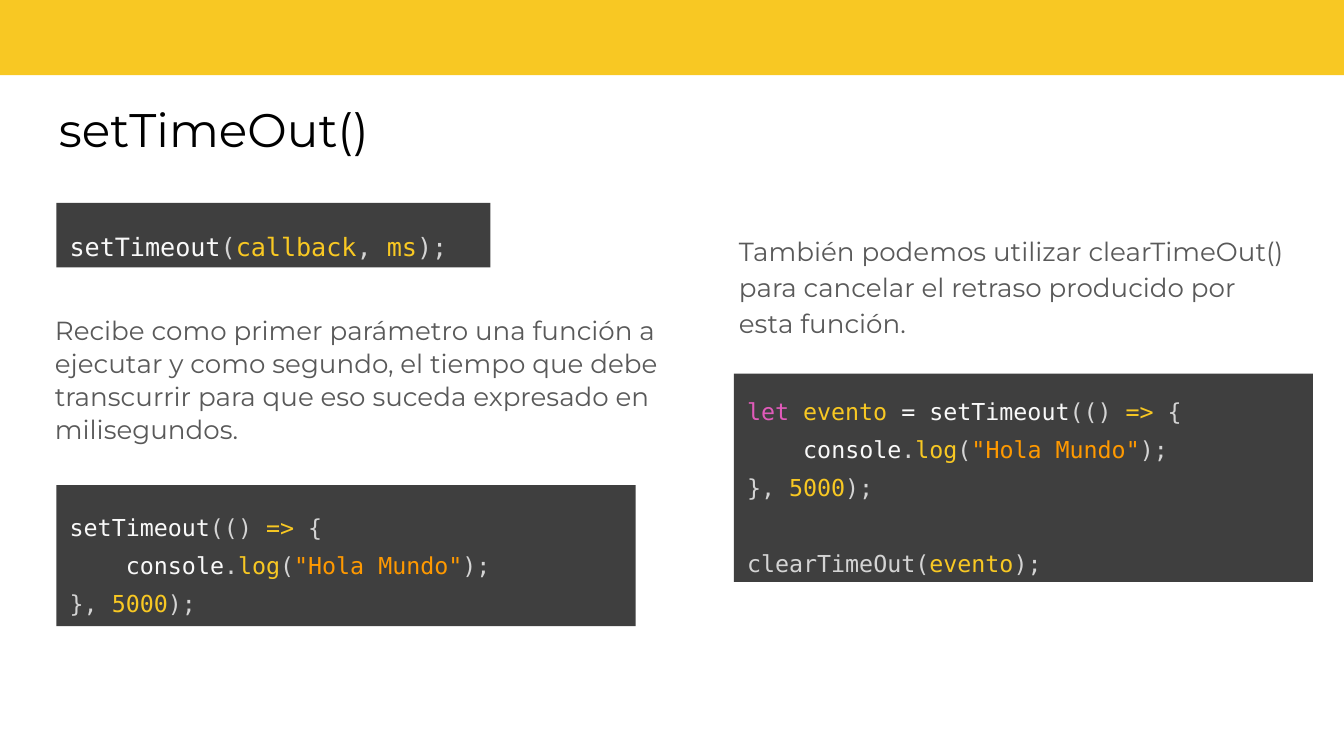
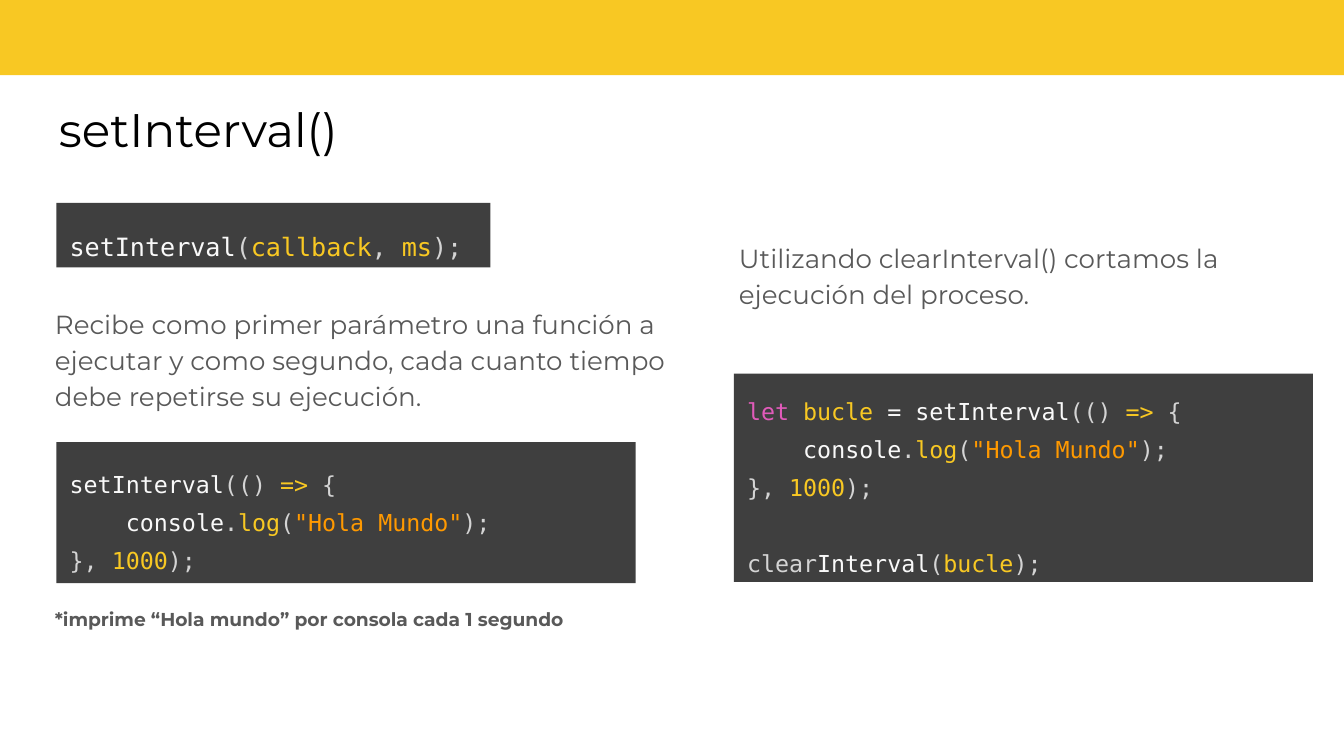
from collections import namedtuple

from lxml import etree
from pptx import Presentation
from pptx import util as u
from pptx.dml.color import RGBColor
from pptx.enum import shapes, text

COLORS = {
    "band": "F8C823",
    "panel": "3F3F3F",
    "title": "000000",
    "body": "595959",
    "name": "F9F9F9",
    "plain": "D4D4D4",
    "accent": "F8C823",
    "string": "FF9900",
    "keyword": "E15BBA",
}
SANS, MONO = "Montserrat", "DejaVu Sans Mono"
SLIDE_WIDTH, SLIDE_HEIGHT = u.Inches(10), u.Inches(5.625)
COLUMNS, ROWS = 100, 56.25
CODE_SIZE, CODE_SPACING = 12.5, 1.36
CODE_INDENT, CODE_GAP = u.Pt(30.1), u.Pt(20.2)

Box = namedtuple("Box", "left top width height")


def place(box):
    """Turn a box in grid columns and rows into slide lengths."""
    column, row = SLIDE_WIDTH / COLUMNS, SLIDE_HEIGHT / ROWS
    return (round(box.left * column), round(box.top * row),
            round(box.width * column), round(box.height * row))


def color(name):
    """Look up a palette colour."""
    return RGBColor.from_string(COLORS[name])


def add_rectangle(slide, box, fill):
    """Draw a flat rectangle without outline."""
    shape = slide.shapes.add_shape(shapes.MSO_SHAPE.RECTANGLE, *place(box))
    shape.shadow.inherit = False
    shape.fill.solid()
    shape.fill.fore_color.rgb = color(fill)
    shape.line.fill.background()


def add_frame(slide, box):
    """Add a wrapping text box with even margins and return its frame."""
    frame = slide.shapes.add_textbox(*place(box)).text_frame
    frame.word_wrap = True
    frame.margin_left = frame.margin_right = u.Inches(0.1)
    frame.margin_top = frame.margin_bottom = u.Inches(0.1)
    return frame


def add_text(slide, box, words, size, fill="body", spacing=1.15, after=12, bold=False):
    """Write one paragraph of prose."""
    paragraph = add_frame(slide, box).paragraphs[0]
    paragraph.text = words
    paragraph.line_spacing = spacing
    paragraph.space_after = u.Pt(after)
    font = paragraph.font
    font.name, font.size, font.bold = SANS, u.Pt(size), bold
    font.color.rgb = color(fill)


def add_code(slide, box, lines, size=CODE_SIZE, drop=0.3, narrow=0):
    """Draw a dark panel with coloured code; None among the lines is a gap."""
    add_rectangle(slide, box, "panel")
    frame = add_frame(slide, Box(box.left, box.top + drop,
                                 box.width - narrow, box.height - 2 * drop))
    frame.auto_size = text.MSO_AUTO_SIZE.SHAPE_TO_FIT_TEXT
    paragraph, gap = frame.paragraphs[0], False
    for number, line in enumerate(lines):
        if line is None:
            gap = True
            continue
        if number:
            paragraph = frame.add_paragraph()
        paragraph.line_spacing = CODE_SPACING
        if gap:
            paragraph.space_before, gap = CODE_GAP, False
        paragraph.font.name, paragraph.font.size = MONO, u.Pt(size)
        if line[0][0] == "console":
            indent(paragraph)
        for words, fill in line:
            run = paragraph.add_run()
            run.text = words
            run.font.color.rgb = color(fill)


def indent(paragraph):
    """Indent a paragraph by four code characters."""
    properties = paragraph.font._element.getparent()
    properties.set("marL", str(int(CODE_INDENT)))
    properties.set("indent", "0")


def signature(function):
    """Return the line that shows the arguments of a timer function."""
    return [[(function, "name"), ("(", "plain"), ("callback", "accent"),
             (", ", "plain"), ("ms", "accent"), (");", "plain")]]


def timer_call(opening, delay):
    """Return the lines of a timer call that greets after a delay."""
    return [
        opening + [("(() ", "plain"), ("=>", "accent"), (" {", "plain")],
        [("console", "name"), (".", "plain"), ("log", "accent"), ("(", "plain"),
         ('"Hola Mundo"', "string"), (");", "plain")],
        [("}, ", "plain"), (delay, "accent"), (");", "plain")],
    ]


def add_header(slide, title):
    """Draw the top band and the slide title."""
    add_rectangle(slide, Box(-0.1, -0.5, 100.3, 6.1), "band")
    add_text(slide, Box(3.4, 6.5, 93.2, 6.3), title, 25.2, "title", 1, 0)


def add_usage(slide, box, function, delay, words, words_box, spacing, example_top):
    """Fill the left column: signature, explanation and example."""
    add_code(slide, Box(box.left, box.top, 32.3, 4.8), signature(function), 13.5, narrow=0.7)
    add_text(slide, words_box, words, 14, spacing=spacing)
    add_code(slide, Box(box.left, example_top, box.width, 10.5),
             timer_call([(function, "name")], delay))


def add_cancel(slide, box, function, delay, variable, clearing, words, words_box):
    """Fill the right column: how to cancel the timer, with code."""
    add_text(slide, words_box, words, 14)
    opening = [("let ", "keyword"), (variable + " ", "accent"), ("= " + function, "name")]
    closing = clearing + [(variable, "accent"), (");", "plain")]
    add_code(slide, box, timer_call(opening, delay) + [None, closing], drop=0)


def build_timer_slide(presentation, function, title, delay, usage, cancel):
    """Add a slide that explains one timer function in two columns."""
    slide = presentation.slides.add_slide(presentation.slide_layouts[6])
    add_header(slide, title)
    add_usage(slide, Box(4.2, 15.1, 43.1, 31.5), function, delay, **usage)
    add_cancel(slide, Box(54.6, 27.8, 43.1, 15.5), function, delay, **cancel)
    return slide


def main():
    """Build both slides and save the file."""
    presentation = Presentation()
    presentation.slide_width, presentation.slide_height = SLIDE_WIDTH, SLIDE_HEIGHT
    build_timer_slide(
        presentation, "setTimeout", "setTimeOut()", "5000",
        usage=dict(
            words="Recibe como primer parámetro una función a ejecutar y como segundo, "
                  "el tiempo que debe transcurrir para que eso suceda expresado en milisegundos.",
            words_box=Box(3.1, 22.3, 47.8, 12), spacing=1.05, example_top=36.1),
        cancel=dict(
            variable="evento", clearing=[("clearTimeOut(", "plain")],
            words="También podemos utilizar clearTimeOut() para cancelar el retraso "
                  "producido por esta función.",
            words_box=Box(54, 16.2, 42.6, 13)))
    interval = build_timer_slide(
        presentation, "setInterval", "setInterval()", "1000",
        usage=dict(
            words="Recibe como primer parámetro una función a ejecutar y como segundo, "
                  "cada cuanto tiempo debe repetirse su ejecución.",
            words_box=Box(3.1, 21.6, 47.8, 9.8), spacing=1.15, example_top=32.9),
        cancel=dict(
            variable="bucle",
            clearing=[("clear", "plain"), ("Interval", "name"), ("(", "plain")],
            words="Utilizando clearInterval() cortamos la ejecución del proceso.",
            words_box=Box(54, 16.7, 42.6, 8)))
    add_text(interval, Box(3.1, 44, 44.2, 3.7),
             "*imprime “Hola mundo” por consola cada 1 segundo", 10, bold=True)
    presentation.save("out.pptx")


if __name__ == "__main__":
    main()
